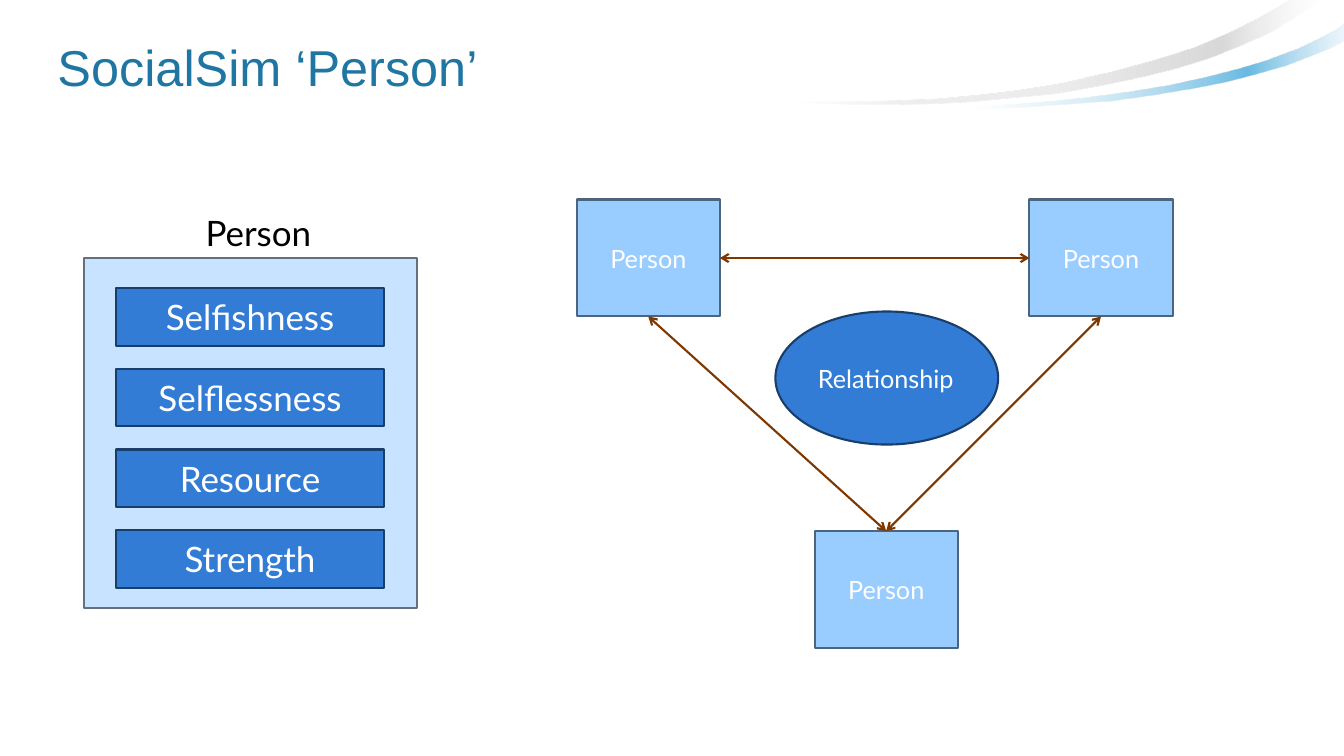
import pptx
import pptx.dml.color
import pptx.enum.shapes
import pptx.enum.text
import pptx.oxml
import pptx.oxml.ns
import pptx.util

Inches = pptx.util.Inches
SHAPES = pptx.enum.shapes.MSO_SHAPE
ALIGN = pptx.enum.text.PP_ALIGN
ANCHOR = pptx.enum.text.MSO_ANCHOR
qn = pptx.oxml.ns.qn
NAMESPACE = pptx.oxml.ns.nsdecls("a")

BLUE, DARK_BLUE = "337CD6", "193E6A"
TOP, LEFT, BOTTOM, RIGHT = range(4)  # connection sites of a rectangle

# Swoosh outlines in inches, with (position %, colour, opacity %) stops
BLUE_SWOOSH = [
    (13.33, 0.23), (13.25, 0.29), (13.1, 0.37), (12.87, 0.48), (12.55, 0.6), (12.28, 0.68),
    (11.97, 0.76), (11.61, 0.84), (11.19, 0.91), (10.73, 0.97), (10.34, 1.01), (9.92, 1.04),
    (9.46, 1.06), (8.97, 1.08), (8.63, 1.08), (8.26, 1.07), (8.6, 1.09), (9.12, 1.09),
    (9.63, 1.09), (10.2, 1.06), (10.61, 1.03), (11.03, 1), (11.45, 0.94), (11.87, 0.87),
    (12.17, 0.81), (12.47, 0.73), (12.75, 0.65), (13.01, 0.55), (13.18, 0.48), (13.33, 0.4)]
BLUE_STOPS = [(0, "D5EBF7", 42), (19, "2B9DD7", 70), (50, "80C4E7", 29),
              (72, "80C4E7", 0), (89, "AAD8EF", 0), (100, "D5EBF7", 0)]
GRAY_SWOOSH = [
    (7.83, 1.01), (8.18, 1.03), (8.71, 1.04), (9.24, 1.03), (9.63, 1.01), (10.04, 0.97),
    (10.47, 0.93), (10.91, 0.85), (11.35, 0.76), (11.67, 0.68), (11.99, 0.58), (12.3, 0.46),
    (12.59, 0.33), (12.86, 0.17), (13.12, 0), (12.8, 0), (12.67, 0.08), (12.44, 0.21),
    (12.17, 0.34), (11.84, 0.48), (11.45, 0.6), (11.01, 0.72), (10.51, 0.83), (10.14, 0.89),
    (9.74, 0.94), (9.31, 0.98), (8.85, 1), (8.36, 1.01)]
GRAY_STOPS = [(0, "F2F2F2", 0), (19, "D9D9D9", 100), (50, "D9D9D9", 46),
              (72, "D9D9D9", 45), (89, "BFBFBF", 12), (100, "80C4E7", 0)]


def color(value):
    return pptx.dml.color.RGBColor.from_string(value)


def write(frame, text, size, text_color, font="Lato", align=ALIGN.LEFT, anchor=ANCHOR.MIDDLE):
    frame.word_wrap = True
    frame.vertical_anchor = anchor
    para = frame.paragraphs[0]
    para.text = text
    para.alignment = align
    para.font.size = pptx.util.Pt(size)
    para.font.name = font
    para.font.color.rgb = color(text_color)


def add_box(page, kind, box, fill, line):
    shape = page.shapes.add_shape(kind, *map(Inches, box))
    shape.shadow.inherit = False
    shape.fill.solid()
    shape.fill.fore_color.rgb = color(fill)
    shape.line.color.rgb = color(line)
    shape.line.width = pptx.util.Pt(1.5)
    return shape


def add_swoosh(page, points, stops):
    corners = [(Inches(x), Inches(y)) for x, y in points]
    builder = page.shapes.build_freeform(*corners[0])
    builder.add_line_segments(corners[1:], close=True)
    shape = builder.convert_to_shape()
    shape.shadow.inherit = False
    shape.line.fill.background()
    shape.fill.gradient()
    shape.fill.gradient_angle = 180
    stop_list = shape.element.spPr.find(qn("a:gradFill")).find(qn("a:gsLst"))
    for old_stop in list(stop_list):
        stop_list.remove(old_stop)
    for position, value, opacity in stops:
        stop_list.append(pptx.oxml.parse_xml(
            f'<a:gs {NAMESPACE} pos="{position * 1000}"><a:srgbClr val="{value}">'
            f'<a:alpha val="{opacity * 1000}"/></a:srgbClr></a:gs>'))


def add_double_arrow(page, start, start_site, end, end_site):
    arrow = page.shapes.add_connector(pptx.enum.shapes.MSO_CONNECTOR.STRAIGHT, 0, 0, 0, 0)
    arrow.begin_connect(start, start_site)
    arrow.end_connect(end, end_site)
    arrow.line.color.rgb = color("7F3700")
    arrow.line.width = pptx.util.Pt(1.5)
    for end_name in ("headEnd", "tailEnd"):
        arrow.line._get_or_add_ln().append(
            pptx.oxml.parse_xml(f'<a:{end_name} {NAMESPACE} type="arrow"/>'))
    arrow.element.spPr.append(pptx.oxml.parse_xml(f"<a:effectLst {NAMESPACE}/>"))


def add_title(page, box):
    title = page.shapes.title
    title.left, title.top, title.width, title.height = map(Inches, box)
    write(title.text_frame, "SocialSim ‘Person’", 36, "1F76A3", font="Arial")


def add_attribute_panel(page, box):
    left, top, width, height = box
    add_box(page, SHAPES.RECTANGLE, box, "C8E3FF", "63717F")
    # Heading above the panel
    heading = page.shapes.add_textbox(
        Inches(left + 1.11), Inches(top - 0.51), Inches(1.72), Inches(0.51))
    write(heading.text_frame, "Person", 25, "000000", anchor=ANCHOR.TOP)
    # Evenly stacked attributes
    for row, name in enumerate(["Selfishness", "Selflessness", "Resource", "Strength"]):
        bar = add_box(page, SHAPES.RECTANGLE,
                      (left + 0.32, top + 0.3 + 0.8 * row, width - 0.65, 0.57), BLUE, DARK_BLUE)
        write(bar.text_frame, name, 25, "FFFFFF", align=ALIGN.CENTER)


def add_relationship_diagram(page, box):
    left, top, width, height = box
    person_width, person_height = 1.42, 1.16
    right_offset, bottom_offset = width - person_width, height - person_height
    # Three people in a triangle
    people = []
    for x, y in [(0, 0), (right_offset, 0), (2.36, bottom_offset)]:
        person = add_box(page, SHAPES.RECTANGLE,
                         (left + x, top + y, person_width, person_height), "99CCFF", "4C657F")
        write(person.text_frame, "Person", 18, "FFFFFF", align=ALIGN.CENTER)
        people.append(person)
    # Arrows between each pair
    first, second, third = people
    add_double_arrow(page, first, BOTTOM, third, TOP)
    add_double_arrow(page, second, BOTTOM, third, TOP)
    add_double_arrow(page, second, LEFT, first, RIGHT)
    # Relationship in the middle
    ellipse = add_box(page, SHAPES.OVAL, (left + 1.97, top + 1.11, 2.21, 1.32), BLUE, DARK_BLUE)
    write(ellipse.text_frame, "Relationship", 18, "FFFFFF")


def main():
    deck = pptx.Presentation()
    deck.slide_width, deck.slide_height = Inches(13.33), Inches(7.5)
    page = deck.slides.add_slide(deck.slide_layouts.get_by_name("Title Only"))
    add_swoosh(page, BLUE_SWOOSH, BLUE_STOPS)
    add_swoosh(page, GRAY_SWOOSH, GRAY_STOPS)
    add_title(page, (0.47, 0.14, 12.36, 1.03))
    add_attribute_panel(page, (0.83, 2.56, 3.31, 3.47))
    add_relationship_diagram(page, (5.72, 1.98, 5.91, 4.45))
    deck.save("out.pptx")


if __name__ == "__main__":
    main()
